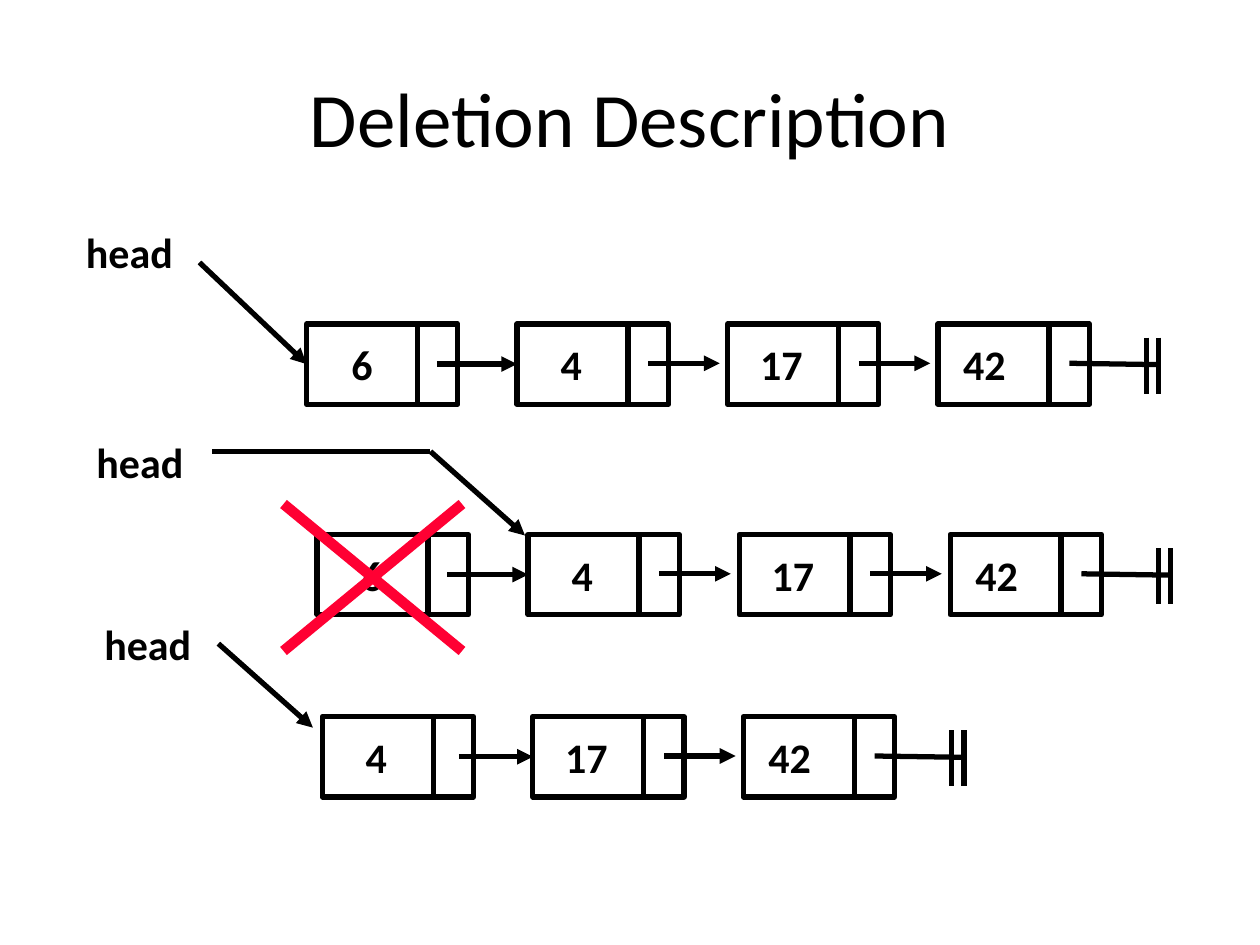
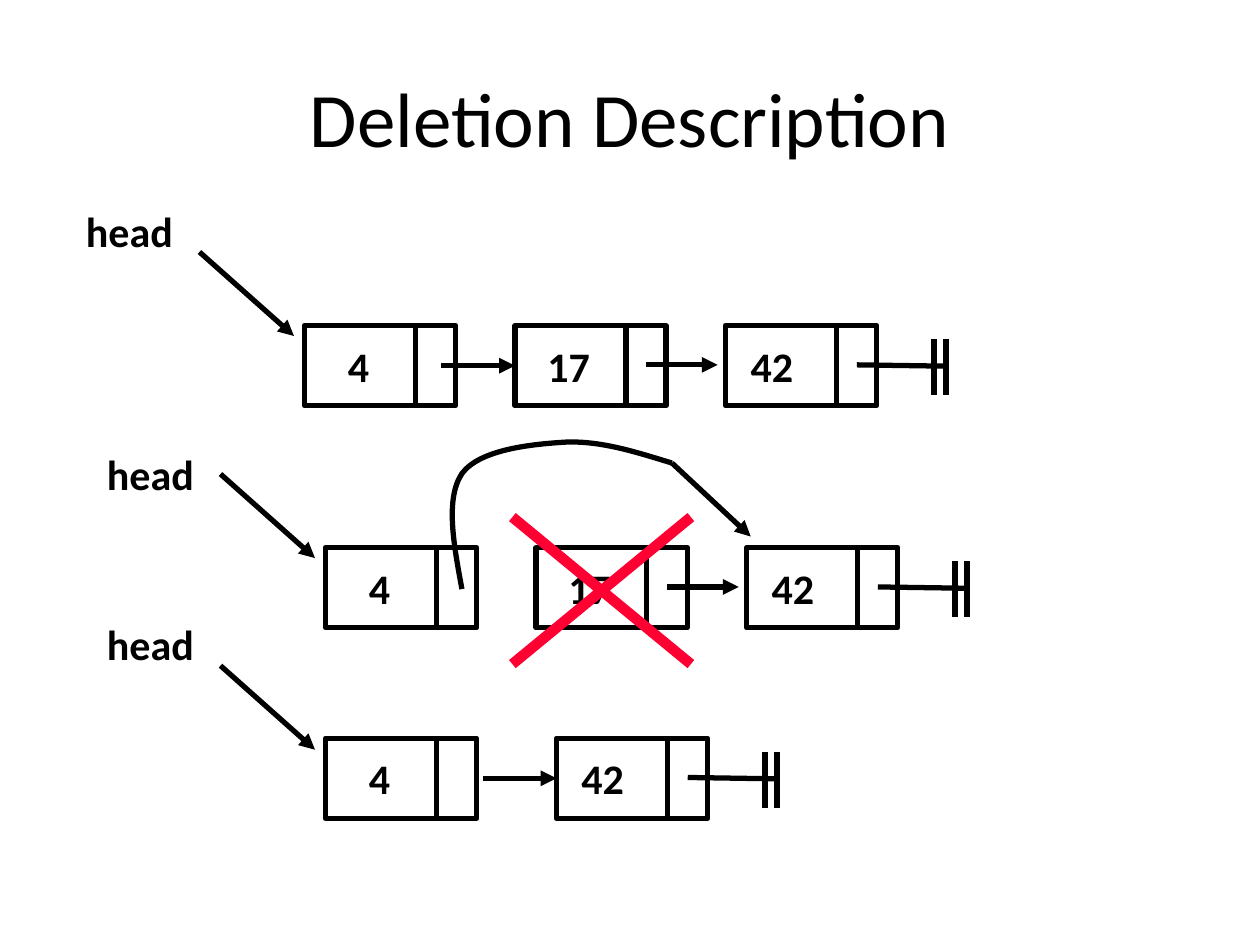
"""Builds two slides that show how nodes are deleted from a linked list."""
from dataclasses import dataclass
from typing import Optional

from lxml import etree
from pptx import Presentation
from pptx import util as u
from pptx.dml.color import RGBColor
from pptx.enum import shapes, text
from pptx.oxml.ns import qn

BLACK = RGBColor(0x00, 0x00, 0x00)
RED = RGBColor(0xFF, 0x00, 0x33)
FONT = "Calibri"
TITLE = "Deletion Description"
SLIDE_W, SLIDE_H = u.Inches(10), u.Inches(7.5)
COLS, ROWS = 120, 90

NODE_W, NODE_H, DATA_W = 14.4, 7.65, 10.56
LINK_START, LINK_END = 12.5, 19.3
LINK_Y = 3.75
LABEL_H, LABEL_DY = 6, 0.8
CROSS_W, CROSS_H = 17, 14
TOP, LEFT, BOTTOM, RIGHT = range(4)

Point = tuple[float, float]


@dataclass(frozen=True)
class ListRow:
    """One linked list, its head label and the path of its head pointer."""
    left: float
    top: float
    values: tuple[str, ...]
    label: Point
    pointer: tuple[Point, ...]
    first_link: Optional[float] = 13
    pitch: float = 20.05
    split_first: bool = False
    pointer_joined: bool = False


@dataclass(frozen=True)
class DeletionSlide:
    """The lists on a slide, the deleted node's cross and the bypass link."""
    lists: tuple[ListRow, ...]
    cross: Point
    bypass: tuple[Point, ...] = ()
    bypass_tip: Optional[Point] = None


SLIDES = (
    DeletionSlide(
        lists=(
            ListRow(29.2, 30.85, ("6", "4", "17", "42"), (7, 21),
                    ((19, 25), (29, 35)), first_link=12.4,
                    split_first=True, pointer_joined=True),
            ListRow(30.2, 50.9, ("6", "4", "17", "42"), (8, 41),
                    ((20.2, 43), (41, 43), (50, 51)), first_link=12.4,
                    pitch=20.1, split_first=True),
            ListRow(30.7, 68.25, ("4", "17", "42"), (8.75, 58.3),
                    ((20.8, 61.3), (29.8, 69.3))),
        ),
        cross=(27, 48),
    ),
    DeletionSlide(
        lists=(
            ListRow(29, 31, ("4", "17", "42"), (7, 19),
                    ((19, 24), (28, 32))),
            ListRow(31, 52.15, ("4", "17", "42"), (9, 42.15),
                    ((21, 45.15), (30, 53.15)), first_link=None),
            ListRow(31, 70.3, ("4", "42"), (9, 58.35),
                    ((21, 63.4), (30, 71.4)), first_link=15, pitch=22),
        ),
        cross=(48.8, 49.25),
        bypass=((44, 56.1), (43.2, 51.8), (42.4, 47.5), (44, 45.1),
                (45.7, 42.8), (50.6, 42.3), (54, 42.1),
                (57.4, 42), (60.7, 43.1), (64, 44.1)),
        bypass_tip=(71.5, 51.1),
    ),
)


def x(col: float) -> u.Emu:
    """Return the length of a number of grid columns."""
    return u.Emu(round(SLIDE_W * col / COLS))


def y(row: float) -> u.Emu:
    """Return the length of a number of grid rows."""
    return u.Emu(round(SLIDE_H * row / ROWS))


def format_run(run, size: float, bold: bool) -> None:
    """Give a run the shared font and colour."""
    run.font.name = FONT
    run.font.size = u.Pt(size)
    run.font.bold = bold
    run.font.color.rgb = BLACK


def add_line(slide, start: Point, end: Point, arrow: bool = False,
             color: RGBColor = BLACK, width: float = 3):
    """Draw a straight line between two grid points."""
    line = slide.shapes.add_connector(
        shapes.MSO_CONNECTOR.STRAIGHT,
        x(start[0]), y(start[1]), x(end[0]), y(end[1]))
    line.line.color.rgb = color
    line.line.width = u.Pt(width)
    if arrow:
        etree.SubElement(line.line._get_or_add_ln(), qn("a:tailEnd"),
                         type="triangle")
    etree.SubElement(line._element.spPr, qn("a:effectLst"))
    return line


def outline(sp) -> None:
    """Leave a shape with only its black outline."""
    sp.shadow.inherit = False
    sp.fill.background()
    sp.line.color.rgb = BLACK
    sp.line.width = u.Pt(3)


def add_box(slide, left: float, top: float, width: float, value: str = ""):
    """Draw an outlined box, with a centred value if there is one."""
    sp = slide.shapes.add_shape(shapes.MSO_SHAPE.RECTANGLE,
                                x(left), y(top), x(width), y(NODE_H))
    outline(sp)
    if value:
        tf = sp.text_frame
        tf.text = value
        tf.word_wrap = False
        tf.vertical_anchor = text.MSO_ANCHOR.MIDDLE
        tf.paragraphs[0].alignment = text.PP_ALIGN.CENTER
        format_run(tf.paragraphs[0].runs[0], 24, True)
    return sp


def add_label(slide, left: float, top: float, width: float, words: str) -> None:
    """Add a bold label that does not wrap."""
    tf = slide.shapes.add_textbox(x(left), y(top), x(width), y(LABEL_H)).text_frame
    tf.text = words
    tf.word_wrap = False
    tf.auto_size = text.MSO_AUTO_SIZE.SHAPE_TO_FIT_TEXT
    format_run(tf.paragraphs[0].runs[0], 24, True)


def add_node(slide, left: float, top: float, value: str,
             split: bool, last: bool):
    """Draw a node with its data and link parts and return its left box."""
    if split:
        add_box(slide, left + DATA_W, top, NODE_W - DATA_W)
        return add_box(slide, left, top, DATA_W, value)
    sp = add_box(slide, left, top, NODE_W)
    add_line(slide, (left + DATA_W, top), (left + DATA_W, top + NODE_H))
    width = 2.6 + 2.1 * len(value)
    middle = 4.6 if last else 5.3
    add_label(slide, left + middle - width / 2, top + LABEL_DY, width, value)
    return sp


def add_null(slide, left: float, top: float) -> None:
    """Draw the null mark behind the last node."""
    add_line(slide, (left + LINK_START, top + LINK_Y),
             (left + 21.2, top + LINK_Y + 0.13))
    for bar in (19.85, 21):
        add_line(slide, (left + bar, top + 1.3), (left + bar, top + 6.65))


def add_list(slide, row: ListRow) -> None:
    """Draw a linked list with its head pointer."""
    lefts = [row.left + i * row.pitch for i in range(len(row.values))]
    last = len(lefts) - 1
    nodes = [add_node(slide, left, row.top, value,
                      row.split_first and i == 0, i == last)
             for i, (left, value) in enumerate(zip(lefts, row.values))]
    link_y = row.top + LINK_Y
    if row.first_link is not None:
        link = add_line(slide, (row.left + row.first_link, row.top + NODE_H / 2),
                        (lefts[1], row.top + NODE_H / 2), arrow=True)
        link.end_connect(nodes[1], LEFT)
    for left in lefts[1:last]:
        add_line(slide, (left + LINK_START, link_y),
                 (left + LINK_END, link_y), arrow=True)
    add_null(slide, lefts[last], row.top)

    add_label(slide, *row.label, 11.75, "head")
    *bends, tip = row.pointer
    for start, end in zip(bends, bends[1:]):
        add_line(slide, start, end)
    pointer = add_line(slide, bends[-1], tip, arrow=True)
    if row.pointer_joined:
        pointer.end_connect(nodes[0], LEFT)


def add_cross(slide, left: float, top: float) -> None:
    """Cross out the deleted node."""
    right, bottom = left + CROSS_W, top + CROSS_H
    add_line(slide, (left, top), (right, bottom), color=RED, width=6)
    add_line(slide, (right, top), (left, bottom), color=RED, width=6)


def add_curve(slide, points: tuple[Point, ...]) -> None:
    """Draw a curve of cubic segments through every third point."""
    start, *rest = [(x(col), y(row)) for col, row in points]
    builder = slide.shapes.build_freeform(*start)
    builder.add_line_segments(rest, close=False)
    sp = builder.convert_to_shape()
    outline(sp)
    geometry = sp._element.find(".//" + qn("a:path"))
    steps = geometry.findall(qn("a:lnTo"))
    for i in range(0, len(steps), 3):
        cubic = etree.SubElement(geometry, qn("a:cubicBezTo"))
        for step in steps[i:i + 3]:
            cubic.append(step[0])
            geometry.remove(step)


def add_title(slide) -> None:
    """Place and format the shared title."""
    sp = slide.shapes.title
    sp.left, sp.top, sp.width, sp.height = x(6), y(3.6), x(108), y(15)
    tf = sp.text_frame
    tf.text = TITLE
    tf.vertical_anchor = text.MSO_ANCHOR.MIDDLE
    tf.paragraphs[0].alignment = text.PP_ALIGN.CENTER
    format_run(tf.paragraphs[0].runs[0], 44, False)


def main() -> None:
    """Build the presentation and save it."""
    prs = Presentation()
    prs.slide_width, prs.slide_height = SLIDE_W, SLIDE_H
    for content in SLIDES:
        slide = prs.slides.add_slide(prs.slide_layouts.get_by_name("Title Only"))
        add_title(slide)
        for row in content.lists:
            add_list(slide, row)
        add_cross(slide, *content.cross)
        if content.bypass:
            add_curve(slide, content.bypass)
            add_line(slide, content.bypass[-1], content.bypass_tip, arrow=True)
    prs.save("out.pptx")


if __name__ == "__main__":
    main()
